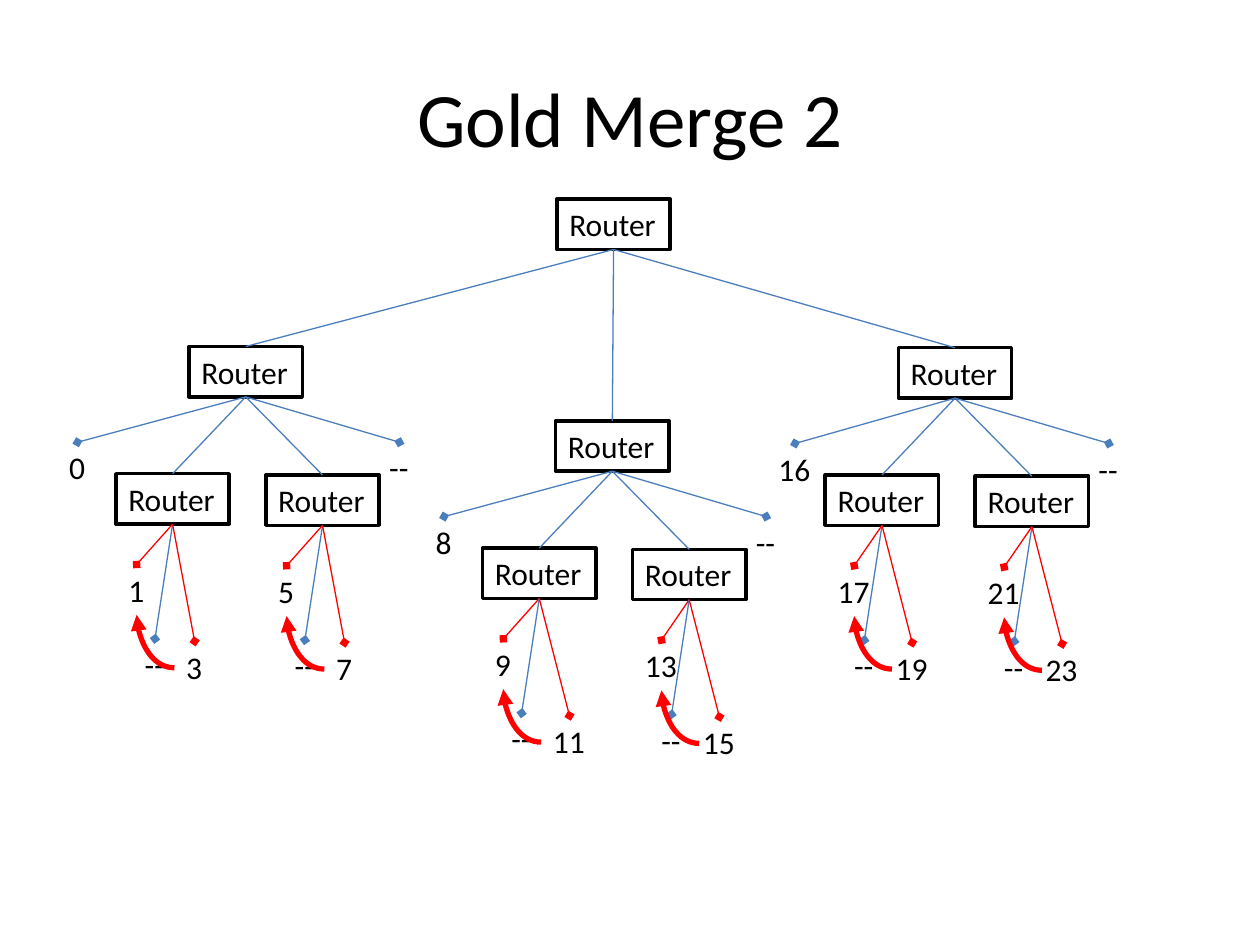
import pptx
import pptx.util
import pptx.dml.color
import pptx.enum.shapes
import pptx.enum.text
import pptx.oxml.ns
import lxml.etree

PX = 9144  # 100 px to the inch
BLUE, RED, BLACK, WHITE = "4B7EBC", "FF0000", "000000", "FFFFFF"
WIDE, HIGH = 90, 40  # router box
LINK = pptx.enum.shapes.MSO_CONNECTOR


def emu(*nums):
    return [pptx.util.Emu(round(n * PX)) for n in nums]


def color(code):
    return pptx.dml.color.RGBColor.from_string(code)


def write(shape, text, size=18, align="LEFT", anchor="TOP", wrap=False):
    frame = shape.text_frame
    frame.word_wrap = wrap
    if not wrap:
        frame.auto_size = pptx.enum.text.MSO_AUTO_SIZE.SHAPE_TO_FIT_TEXT
    frame.vertical_anchor = getattr(pptx.enum.text.MSO_ANCHOR, anchor)
    para = frame.paragraphs[0]
    para.alignment = getattr(pptx.enum.text.PP_ALIGN, align)
    run = para.add_run()
    run.text = text
    run.font.size = pptx.util.Pt(size)
    run.font.name = "Calibri"
    run.font.color.rgb = color(BLACK)


def router(slide, x, y):
    kind = pptx.enum.shapes.MSO_SHAPE.RECTANGLE
    box = slide.shapes.add_shape(kind, *emu(x, y, WIDE, HIGH))
    box.shadow.inherit = False
    box.fill.solid()
    box.fill.fore_color.rgb = color(WHITE)
    box.line.color.rgb = color(BLACK)
    box.line.width = pptx.util.Pt(2)
    write(box, "Router")
    return box


def link(slide, start, end, tint=BLUE, width=0.75, tip=None, kind=LINK.STRAIGHT):
    line = slide.shapes.add_connector(kind, *emu(*start, *end))
    line.line.color.rgb = color(tint)
    line.line.width = pptx.util.Pt(width)
    name = pptx.oxml.ns.qn
    if tip:
        tail = lxml.etree.SubElement(line.line._get_or_add_ln(), name("a:tailEnd"))
        tail.set("type", tip)
    props = line._element.spPr
    lxml.etree.SubElement(props, name("a:effectLst"))
    if kind == LINK.CURVE:
        props.find(name("a:prstGeom")).set("prst", "curvedConnector2")
    return line


def join(slide, upper, lower):
    line = link(slide, (0, 0), (1, 1))
    line.begin_connect(upper, 2)
    line.end_connect(lower, 0)


def value(slide, box, x, y, text, tint=BLUE):
    """Label at x, y with a diamond-tipped line from the router above it."""
    width = 36 if text == "--" else 20 + 13 * len(text)
    label = slide.shapes.add_textbox(*emu(x, y, width, HIGH))
    write(label, text)
    mid = x + width / 2
    start = ((box.left + box.width / 2) / PX, (box.top + box.height) / PX)
    line = link(slide, start, (mid, y), tint, tip="diamond")
    line.begin_connect(box, 2)
    return mid


def leaf(slide, x, y, first, last):
    """Router with a moved value, an empty slot and a last value."""
    box = router(slide, x, y)
    mid = value(slide, box, x, y + 72, first, RED)
    value(slide, box, x + 13, y + 131, "--")
    value(slide, box, x + 46, y + 133, last, RED)
    link(slide, (mid + 30, y + 154), (mid, y + 112), RED, 3, "triangle", LINK.CURVE)
    return box


def branch(slide, x, y, first, pairs):
    """Router with a value, two leaves and an empty slot."""
    box = router(slide, x, y)
    value(slide, box, x - 105, y + 76, first)
    for i, pair in enumerate(pairs):
        join(slide, box, leaf(slide, x - 58 + 119 * i, y + 101 + i, *pair))
    value(slide, box, x + 149, y + 76, "--")
    return box


def main():
    deck = pptx.Presentation()
    deck.slide_width, deck.slide_height = emu(1000, 750)
    slide = deck.slides.add_slide(deck.slide_layouts[6])

    # Title
    title = slide.shapes.add_textbox(*emu(50, 30, 900, 125))
    write(title, "Gold Merge 2", size=44, align="CENTER", anchor="MIDDLE", wrap=True)

    # Tree
    root = router(slide, 442, 158)
    for x, y, first, pairs in (
        (150, 275, "0", (("1", "3"), ("5", "7"))),
        (441, 334, "8", (("9", "11"), ("13", "15"))),
        (713, 276, "16", (("17", "19"), ("21", "23"))),
    ):
        join(slide, root, branch(slide, x, y, first, pairs))

    deck.save("out.pptx")


if __name__ == "__main__":
    main()
